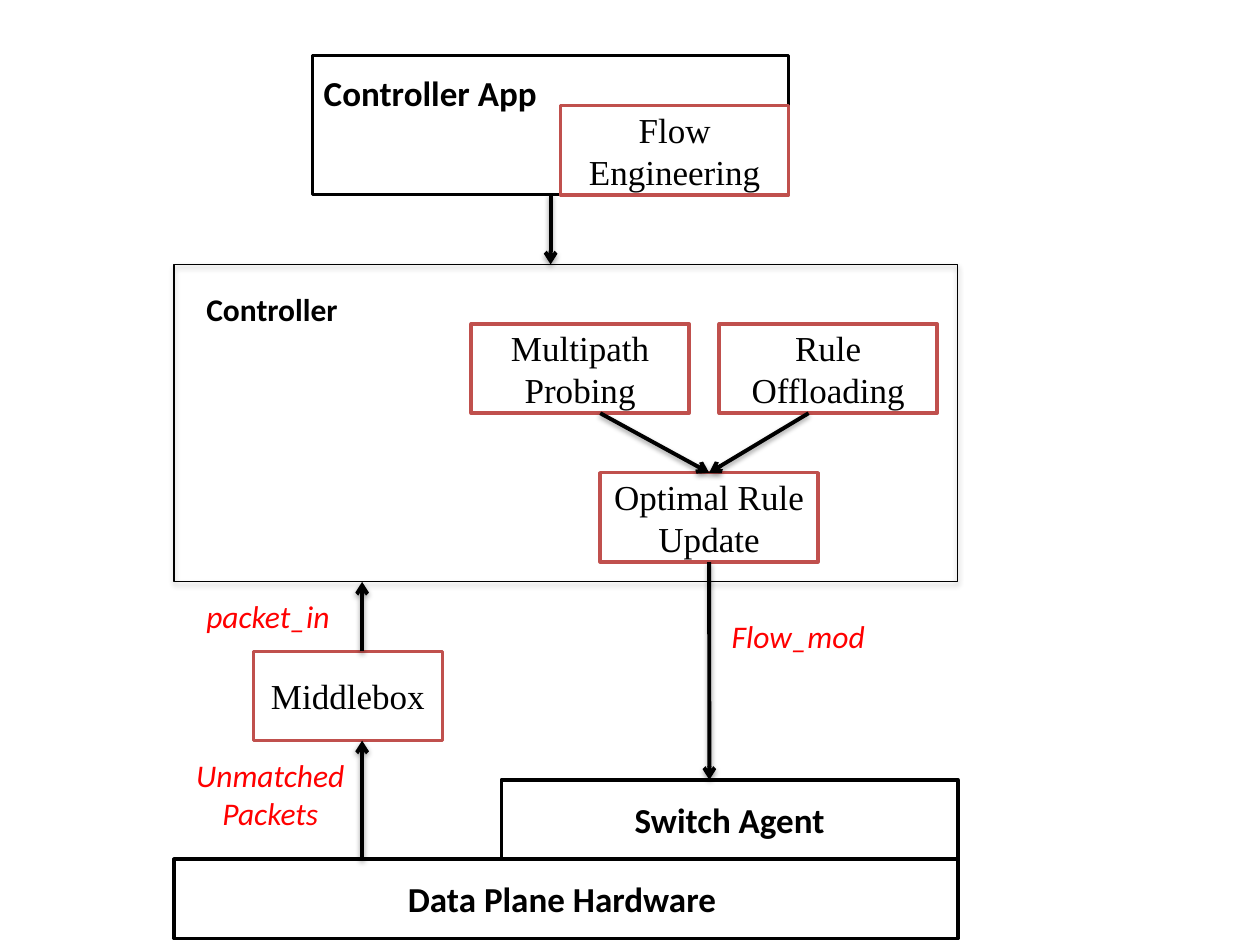
import pptx
import pptx.util
from lxml import etree
from pptx.dml.color import RGBColor
from pptx.enum.shapes import MSO_CONNECTOR, MSO_SHAPE
from pptx.enum.text import MSO_ANCHOR, MSO_AUTO_SIZE, PP_ALIGN
from pptx.oxml.ns import qn
from pptx.util import Cm, Pt

BLACK = RGBColor(0x00, 0x00, 0x00)
WHITE = RGBColor(0xFF, 0xFF, 0xFF)
RED = RGBColor(0xFF, 0x00, 0x00)
BRICK = RGBColor(0xC0, 0x50, 0x4D)

LAYER = dict(font="Calibri", bold=True, line=BLACK)
MODULE = dict(font="Times New Roman", bold=False, line=BRICK)
HEADING = dict(bold=True, color=BLACK)
MESSAGE = dict(italic=True, color=RED)

# Boxes, from back to front: key, text, (left, top, width, height) in cm, look
BOXES = [
    ("controller", "", (3.51, 5.33, 15.8, 6.4), LAYER),
    ("app", "", (6.3, 1.12, 9.6, 2.8), LAYER),
    ("flow", "Flow Engineering", (11.3, 2.13, 4.6, 1.8), MODULE),
    ("probing", "Multipath Probing", (9.5, 6.53, 4.39, 1.8), MODULE),
    ("offloading", "Rule Offloading", (14.5, 6.53, 4.39, 1.8), MODULE),
    ("update", "Optimal Rule Update", (12.1, 9.53, 4.39, 1.8), MODULE),
    ("middlebox", "Middlebox", (5.11, 13.13, 3.81, 1.8), MODULE),
    ("agent", "Switch Agent", (10.11, 15.72, 9.2, 1.6), LAYER),
    ("hardware", "Data Plane Hardware ", (3.51, 17.32, 15.8, 1.6), LAYER),
]

# Labels: lines, (left, top, width, height) in cm, size, alignment, look
LABELS = [
    (["Controller App"], (6.25, 1.32, 4.85, 1.12), 20, PP_ALIGN.CENTER, HEADING),
    (["Controller"], (3.91, 5.72, 3.2, 1.02), 18, PP_ALIGN.LEFT, HEADING),
    (["packet_in"], (3.91, 11.91, 3.07, 1.02), 18, PP_ALIGN.LEFT, MESSAGE),
    (["Flow_mod"], (14.5, 12.32, 3.3, 1.02), 18, PP_ALIGN.LEFT, MESSAGE),
    (["Unmatched", "Packets"], (3.61, 15.11, 3.68, 1.8), 18, PP_ALIGN.CENTER, MESSAGE),
]

# Arrows: (box, side, x in cm) at each end; x None joins the middle of the side
TOP, BOTTOM = 0, 2
ARROWS = [
    (("app", BOTTOM, None), ("controller", TOP, 11.1)),
    (("probing", BOTTOM, 12.1), ("update", TOP, None)),
    (("offloading", BOTTOM, 16.3), ("update", TOP, None)),
    (("update", BOTTOM, None), ("agent", TOP, 14.3)),
    (("hardware", TOP, 7.3), ("middlebox", BOTTOM, 7.3)),
    (("middlebox", TOP, 7.3), ("controller", BOTTOM, 7.3)),
]


def add_soft_shadow(shape, distance, opacity):
    """Drop a blurred black shadow straight down; distance in points, opacity in %."""
    properties = shape._element.spPr
    for old in properties.findall(qn("a:effectLst")):
        properties.remove(old)
    effects = etree.SubElement(properties, qn("a:effectLst"))
    shadow = etree.SubElement(
        effects, qn("a:outerShdw"), blurRad=str(Pt(3.1)),
        dist=str(Pt(distance)), dir="5400000", rotWithShape="0")
    color = etree.SubElement(shadow, qn("a:srgbClr"), val=str(BLACK))
    etree.SubElement(color, qn("a:alpha"), val=str(opacity * 1000))


def add_box(slide, text, place, look):
    box = slide.shapes.add_shape(MSO_SHAPE.RECTANGLE, *map(Cm, place))
    box.shadow.inherit = False
    box.fill.solid()
    box.fill.fore_color.rgb = WHITE
    box.line.color.rgb = look["line"]
    box.line.width = Pt(2)
    if text:
        frame = box.text_frame
        frame.word_wrap = True
        frame.vertical_anchor = MSO_ANCHOR.MIDDLE
        paragraph = frame.paragraphs[0]
        paragraph.alignment = PP_ALIGN.CENTER
        run = paragraph.add_run()
        run.text = text
        run.font.name = look["font"]
        run.font.size = Pt(20)
        run.font.bold = look["bold"]
        run.font.color.rgb = BLACK
    return box


def add_label(slide, lines, place, size, alignment, look):
    frame = slide.shapes.add_textbox(*map(Cm, place)).text_frame
    frame.word_wrap = False
    frame.auto_size = MSO_AUTO_SIZE.SHAPE_TO_FIT_TEXT
    for number, line in enumerate(lines):
        paragraph = frame.add_paragraph() if number else frame.paragraphs[0]
        paragraph.alignment = alignment
        run = paragraph.add_run()
        run.text = line
        run.font.name = "Calibri"
        run.font.size = Pt(size)
        run.font.bold = look.get("bold", False)
        run.font.italic = look.get("italic", False)
        run.font.color.rgb = look["color"]


def side_point(box, side, x):
    """Return the point on the top or bottom of a box, at its middle if x is None."""
    across = box.left + box.width // 2 if x is None else Cm(x)
    return across, box.top + (box.height if side == BOTTOM else 0)


def add_arrow(slide, boxes, start, end):
    points = [side_point(boxes[key], side, x) for key, side, x in (start, end)]
    arrow = slide.shapes.add_connector(MSO_CONNECTOR.STRAIGHT, *points[0], *points[1])
    for (key, side, x), join in ((start, arrow.begin_connect), (end, arrow.end_connect)):
        if x is None:
            join(boxes[key], side)
    arrow.line.color.rgb = BLACK
    arrow.line.width = Pt(2.25)
    etree.SubElement(arrow.line._get_or_add_ln(), qn("a:tailEnd"), type="arrow")
    add_soft_shadow(arrow, 1.6, 38)


def main():
    deck = pptx.Presentation()
    deck.slide_width, deck.slide_height = Cm(25.4), Cm(19.05)
    slide = deck.slides.add_slide(deck.slide_layouts[6])

    boxes = {key: add_box(slide, text, place, look) for key, text, place, look in BOXES}
    controller = boxes["controller"]
    controller.fill.background()
    controller.line.width = Pt(0.75)
    add_soft_shadow(controller, 1.8, 35)

    for start, end in ARROWS:
        add_arrow(slide, boxes, start, end)
    for label in LABELS:
        add_label(slide, *label)
    deck.save("out.pptx")


if __name__ == "__main__":
    main()
